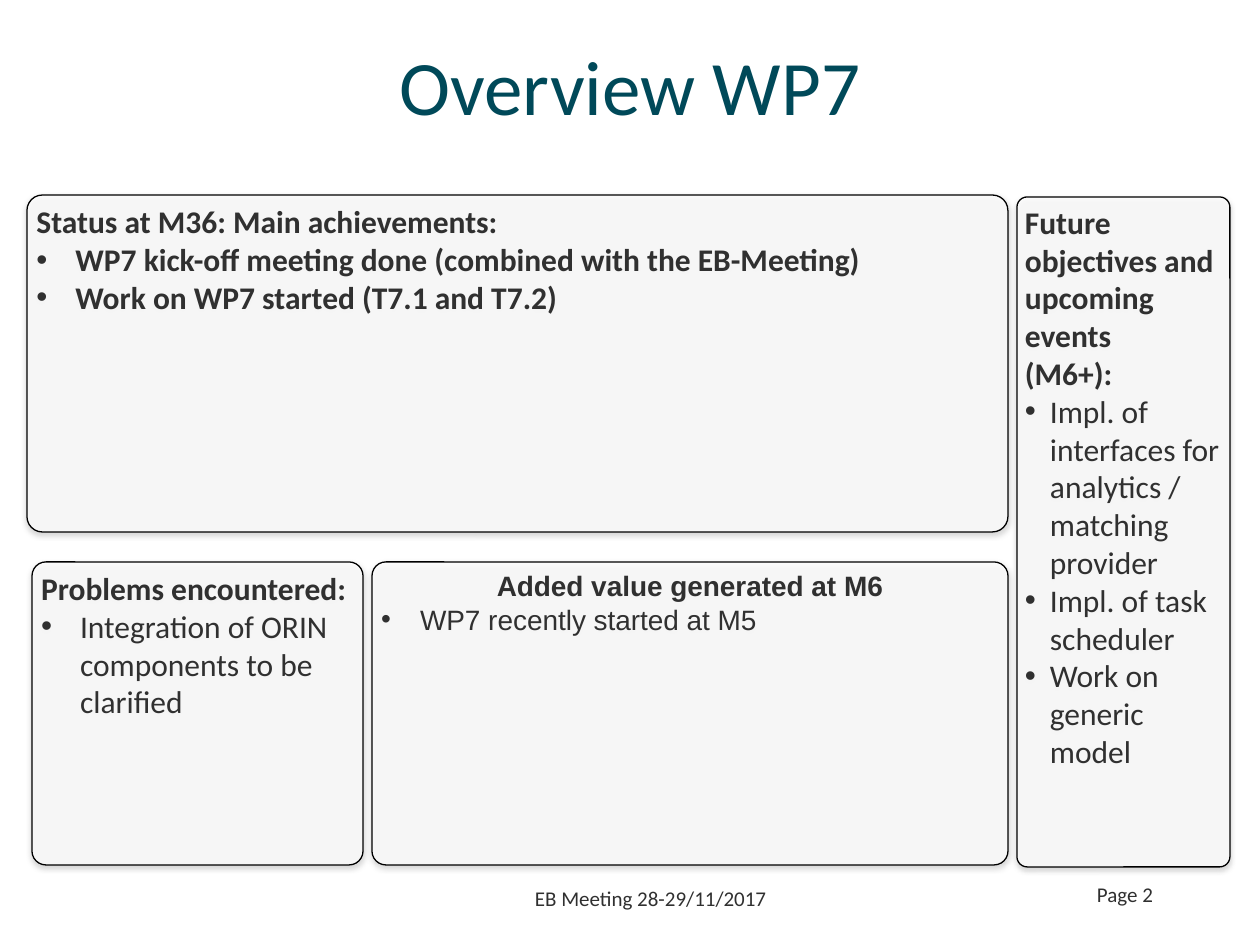
from dataclasses import dataclass

from lxml import etree
from pptx import Presentation
from pptx.dml.color import RGBColor
from pptx.enum.shapes import MSO_SHAPE
from pptx.enum.text import MSO_ANCHOR, PP_ALIGN
from pptx.oxml import parse_xml
from pptx.oxml.ns import nsdecls, qn
from pptx.util import Emu, Pt

ROUNDED = MSO_SHAPE.ROUNDED_RECTANGLE
TOP, MIDDLE = MSO_ANCHOR.TOP, MSO_ANCHOR.MIDDLE
LEFT, CENTER, RIGHT = PP_ALIGN.LEFT, PP_ALIGN.CENTER, PP_ALIGN.RIGHT
EMU_PER_PIXEL = 914400 / 126


def px(length):
    return Emu(round(length * EMU_PER_PIXEL))


@dataclass(frozen=True)
class Theme:
    title_color: str = "004959"
    text_color: str = "303030"
    panel_fill: str = "FFFFFF"
    panel_line: str = "000000"
    shadow_color: str = "808080"
    panel_opacity: int = 79
    shadow_opacity: int = 38
    title_size: int = 44
    body_size: int = 18
    value_size: int = 16
    footer_size: int = 12
    font: str = "Calibri"
    value_font: str = "Arial"


class SlideBuilder:
    def __init__(self, slide, theme):
        self.slide = slide
        self.theme = theme

    def place(self, shape, box):
        shape.left, shape.top, shape.width, shape.height = map(px, box)

    def format_paragraph(self, paragraph, size, color, font, bold=False, align=LEFT):
        paragraph.alignment = align
        for run in paragraph.runs:
            run.font.size = Pt(size)
            run.font.name = font
            run.font.bold = bold
            run.font.color.rgb = RGBColor.from_string(color)

    def add_bullet(self, paragraph, indent):
        properties = paragraph._p.get_or_add_pPr()
        properties.set("marL", str(px(indent)))
        properties.set("indent", str(-px(indent)))
        etree.SubElement(properties, qn("a:buFont")).set("typeface", "Arial")
        etree.SubElement(properties, qn("a:buChar")).set("char", "•")

    def title(self, text, box):
        shape = self.slide.shapes.title
        self.place(shape, box)
        shape.text_frame.text = text
        shape.text_frame.vertical_anchor = MIDDLE
        self.format_paragraph(shape.text_frame.paragraphs[0], self.theme.title_size,
                              self.theme.title_color, self.theme.font, align=CENTER)

    def footer(self, text, box, align):
        frame = self.slide.shapes.add_textbox(*map(px, box)).text_frame
        frame.word_wrap = True
        frame.vertical_anchor = MIDDLE
        frame.text = text
        self.format_paragraph(frame.paragraphs[0], self.theme.footer_size,
                              self.theme.text_color, self.theme.font, align=align)

    def style_panel(self, shape):
        theme = self.theme
        shape.fill.solid()
        shape.fill.fore_color.rgb = RGBColor.from_string(theme.panel_fill)
        color = shape._element.spPr.find(".//" + qn("a:srgbClr"))
        etree.SubElement(color, qn("a:alpha")).set("val", str(theme.panel_opacity * 1000))
        shape.line.color.rgb = RGBColor.from_string(theme.panel_line)
        shape.line.width = Pt(0.75)
        # Soft shadow straight below the panel
        shape.shadow.inherit = False
        effects = shape._element.spPr.find(qn("a:effectLst"))
        effects.append(parse_xml(
            f'<a:outerShdw {nsdecls("a")} blurRad="{Pt(3.1)}" dist="{Pt(1.6)}" '
            f'dir="5400000" rotWithShape="0"><a:srgbClr val="{theme.shadow_color}">'
            f'<a:alpha val="{theme.shadow_opacity * 1000}"/></a:srgbClr></a:outerShdw>'))

    def panel(self, box, headings, bullets, indent=39, size=None, font=None,
              heading_align=LEFT, bold_bullets=False, corner=0.046):
        shape = self.slide.shapes.add_shape(ROUNDED, *map(px, box))
        shape.adjustments[0] = corner
        self.style_panel(shape)
        frame = shape.text_frame
        frame.word_wrap = True
        frame.vertical_anchor = TOP
        frame.margin_left = frame.margin_right = px(5)
        frame.margin_top = frame.margin_bottom = px(3)
        frame.text = "\n".join(headings + bullets)
        for index, paragraph in enumerate(frame.paragraphs):
            is_heading = index < len(headings)
            self.format_paragraph(
                paragraph, size or self.theme.body_size, self.theme.text_color,
                font or self.theme.font, bold=is_heading or bold_bullets,
                align=heading_align if is_heading else LEFT)
            if not is_heading:
                self.add_bullet(paragraph, indent)


presentation = Presentation()
presentation.slide_width, presentation.slide_height = px(1260), px(945)
theme = Theme()
builder = SlideBuilder(
    presentation.slides.add_slide(presentation.slide_layouts.get_by_name("Title Only")), theme)

# Title and footer
builder.title("Overview WP7", (63, 6, 1134, 158))
builder.footer("EB Meeting 28-29/11/2017", (512, 873, 267, 50), RIGHT)
builder.footer("Page 2", (1057, 869, 136, 50), CENTER)

# Achievements
builder.panel((27, 195, 981, 337), ["Status at M36: Main achievements:"],
              ["WP7 kick-off meeting done (combined with the EB-Meeting)",
               "Work on WP7 started (T7.1 and T7.2)"], bold_bullets=True)

# Added value
builder.panel((372, 562, 636, 303), ["Added value generated at M6"],
              ["WP7 recently started at M5"], size=theme.value_size,
              font=theme.value_font, heading_align=CENTER)

# Future objectives
builder.panel((1017, 197, 213, 670),
              ["Future objectives and upcoming events", "(M6+):"],
              ["Impl. of interfaces for analytics / matching provider",
               "Impl. of task scheduler", "Work on generic model"],
              indent=25, corner=0.048)

# Problems
builder.panel((32, 562, 331, 303), ["Problems encountered:"],
              ["Integration of ORIN components to be clarified"])

presentation.save("out.pptx")
